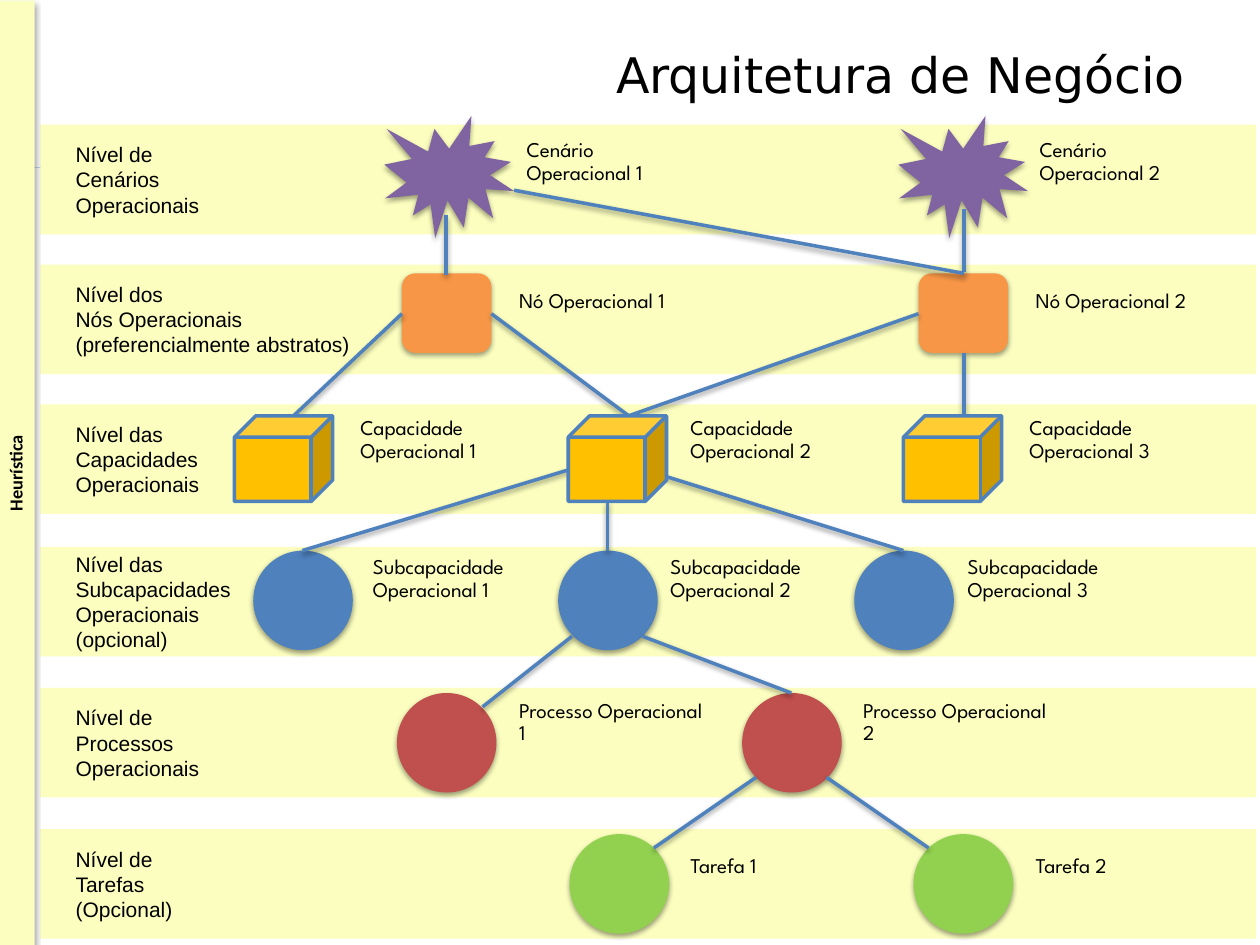
"""Builds the slide with the levels of a business architecture."""
from lxml import etree
from pptx import Presentation
from pptx.dml.color import RGBColor
from pptx.enum.shapes import MSO_CONNECTOR, MSO_SHAPE
from pptx.enum.text import MSO_ANCHOR, PP_ALIGN
from pptx.oxml.ns import qn
from pptx.util import Inches, Pt

RECT, ROUND = MSO_SHAPE.RECTANGLE, MSO_SHAPE.ROUNDED_RECTANGLE
OVAL, CUBE, BURST = MSO_SHAPE.OVAL, MSO_SHAPE.CUBE, MSO_SHAPE.EXPLOSION1
STRAIGHT = MSO_CONNECTOR.STRAIGHT
TOP, MIDDLE = MSO_ANCHOR.TOP, MSO_ANCHOR.MIDDLE
LEFT, CENTER, RIGHT = PP_ALIGN.LEFT, PP_ALIGN.CENTER, PP_ALIGN.RIGHT

CREAM, BLUE = "FBFEBE", "4F81BD"
LABEL_FONT = "League Spartan"

BANDS = [
    (0.99, "Nível de\nCenários\nOperacionais"),
    (2.1, "Nível dos\nNós Operacionais\n(preferencialmente abstratos)"),
    (3.21, "Nível das\nCapacidades\nOperacionais"),
    (4.34, "Nível das\nSubcapacidades\nOperacionais\n(opcional)"),
    (5.46, "Nível de\nProcessos\nOperacionais"),
    (6.58, "Nível de\nTarefas\n(Opcional)"),
]

NODES = [
    (BURST, "8064A2", 0.92, 1.03, 0.97, [3.05, 7.13]),
    (ROUND, "F79646", 2.17, 0.71, 0.63, [3.19, 7.29]),
    (OVAL, BLUE, 4.37, 0.79, 0.79, [2.01, 4.43, 6.78]),
    (OVAL, "C0504D", 5.5, 0.79, 0.79, [3.15, 5.89]),
    (OVAL, "92D050", 6.62, 0.79, 0.79, [4.52, 7.25]),
]

LABELS = [
    ("Cenário Operacional", 1.03, 1.29, [4.13, 8.2]),
    ("Nó Operacional", 2.14, 1.37, [4.07, 8.17]),
    ("Capacidade Operacional", 3.24, 1.56, [2.81, 5.43, 8.12]),
    ("Subcapacidade Operacional", 4.34, 1.46, [2.91, 5.27, 7.63]),
    ("Processo Operacional", 5.48, 1.56, [4.07, 6.8]),
    ("Tarefa", 6.62, 1.56, [5.43, 8.17]),
]

LINKS = [
    (3.54, 1.71, 3.54, 2.18), (7.65, 2.16, 7.65, 1.66), (4.08, 1.51, 7.65, 2.17),
    (3.19, 2.49, 2.33, 3.3), (3.9, 2.49, 4.99, 3.3), (7.29, 2.49, 4.99, 3.3),
    (7.65, 2.8, 7.65, 3.3),
    (4.51, 3.73, 2.4, 4.37), (4.82, 3.98, 4.82, 4.37), (5.12, 3.73, 7.17, 4.37),
    (4.54, 5.05, 3.83, 5.61), (5.1, 5.05, 6.28, 5.5),
    (6, 6.17, 5.19, 6.73), (6.56, 6.17, 7.37, 6.73),
]


def rgb(value):
    return RGBColor.from_string(value)


class Deck:
    def __init__(self, s):
        self.s = s

    def shadow(self, sp, alpha=38, dist=1.6):
        effects = sp._element.spPr.find(qn("a:effectLst"))
        outer = etree.SubElement(effects, qn("a:outerShdw"), blurRad=str(Pt(3.1)),
                                 dist=str(Pt(dist)), dir="5400000", rotWithShape="0")
        color = etree.SubElement(outer, qn("a:srgbClr"), val="000000")
        etree.SubElement(color, qn("a:alpha"), val=str(alpha * 1000))

    def shape(self, kind, x, y, w, h, fill, line=None):
        sp = self.s.shapes.add_shape(kind, Inches(x), Inches(y), Inches(w), Inches(h))
        sp.shadow.inherit = False
        sp.fill.solid()
        sp.fill.fore_color.rgb = rgb(fill)
        if line:
            sp.line.color.rgb = rgb(line)
            sp.line.width = Pt(2)
        else:
            sp.line.fill.background()
        return sp

    def set_text(self, sp, text, font, size, align=LEFT, anchor=MIDDLE,
                 insets=(0.05, 0.05, 0.05, 0.05), spacing=1.0, bold=False):
        tf = sp.text_frame
        tf.word_wrap = True
        tf.vertical_anchor = anchor
        tf.margin_left, tf.margin_top, tf.margin_right, tf.margin_bottom = map(Inches, insets)
        tf.text = text
        for p in tf.paragraphs:
            p.alignment = align
            p.line_spacing = spacing
            for r in p.runs:
                r.font.name = font
                r.font.size = Pt(size)
                r.font.bold = bold
                r.font.color.rgb = rgb("000000")

    def text(self, x, y, w, h, text, font, size, **style):
        sp = self.s.shapes.add_textbox(Inches(x), Inches(y), Inches(w), Inches(h))
        self.set_text(sp, text, font, size, **style)

    def band(self, y, text):
        sp = self.shape(RECT, 0.32, y, 9.65, 0.87, CREAM)
        self.set_text(sp, text, "Arial", 12, insets=(0.28, 0.05, 0.1, 0.05))

    def sidebar(self, text):
        sp = self.shape(RECT, -3.62, 3.61, 7.5, 0.29, CREAM)
        sp.rotation = 270
        self.shadow(sp, 35, 1.8)
        self.set_text(sp, text, "Calibri", 10.5, align=CENTER, anchor=TOP,
                      insets=(0.1, 0.05, 0.1, 0.05), bold=True)

    def line(self, x1, y1, x2, y2, color=BLUE, width=2):
        sp = self.s.shapes.add_connector(STRAIGHT, Inches(x1), Inches(y1),
                                         Inches(x2), Inches(y2))
        sp.line.color.rgb = rgb(color)
        sp.line.width = Pt(width)
        etree.SubElement(sp._element.spPr, qn("a:effectLst"))
        return sp


def main():
    prs = Presentation()
    prs.slide_width, prs.slide_height = Inches(10), Inches(7.5)
    deck = Deck(prs.slides.add_slide(prs.slide_layouts[6]))

    deck.line(0, 1.33, 7.5, 1.33, "C4D6EB", 0.75)
    for y, text in BANDS:
        deck.band(y, text)
    deck.text(0.5, 0.3, 9, 1.25, "Arquitetura de Negócio", "DejaVu Sans", 28,
              align=RIGHT, anchor=TOP, insets=(0.1, 0.05, 0.1, 0.05))
    deck.sidebar("Heurística")
    for kind, color, y, w, h, lefts in NODES:
        for x in lefts:
            deck.shadow(deck.shape(kind, x, y, w, h, color))
    for name, y, w, lefts in LABELS:
        for number, x in enumerate(lefts, 1):
            deck.text(x, y, w, 0.51, f"{name} {number}", LABEL_FONT, 12, spacing=0.9)
    for ends in LINKS:
        deck.shadow(deck.line(*ends))
    for x in (1.86, 4.51, 7.17):
        deck.shape(CUBE, x, 3.3, 0.78, 0.68, "FFC000", BLUE)
    prs.save("out.pptx")


if __name__ == "__main__":
    main()
